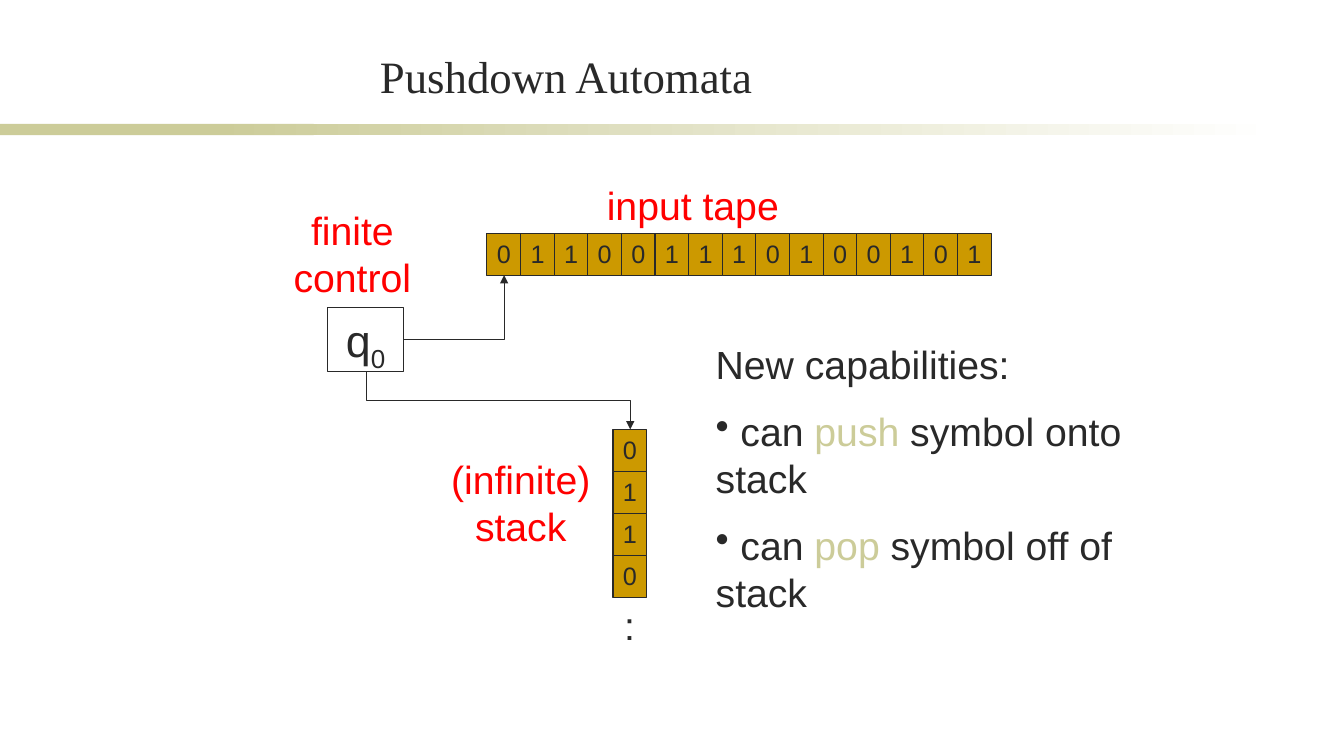
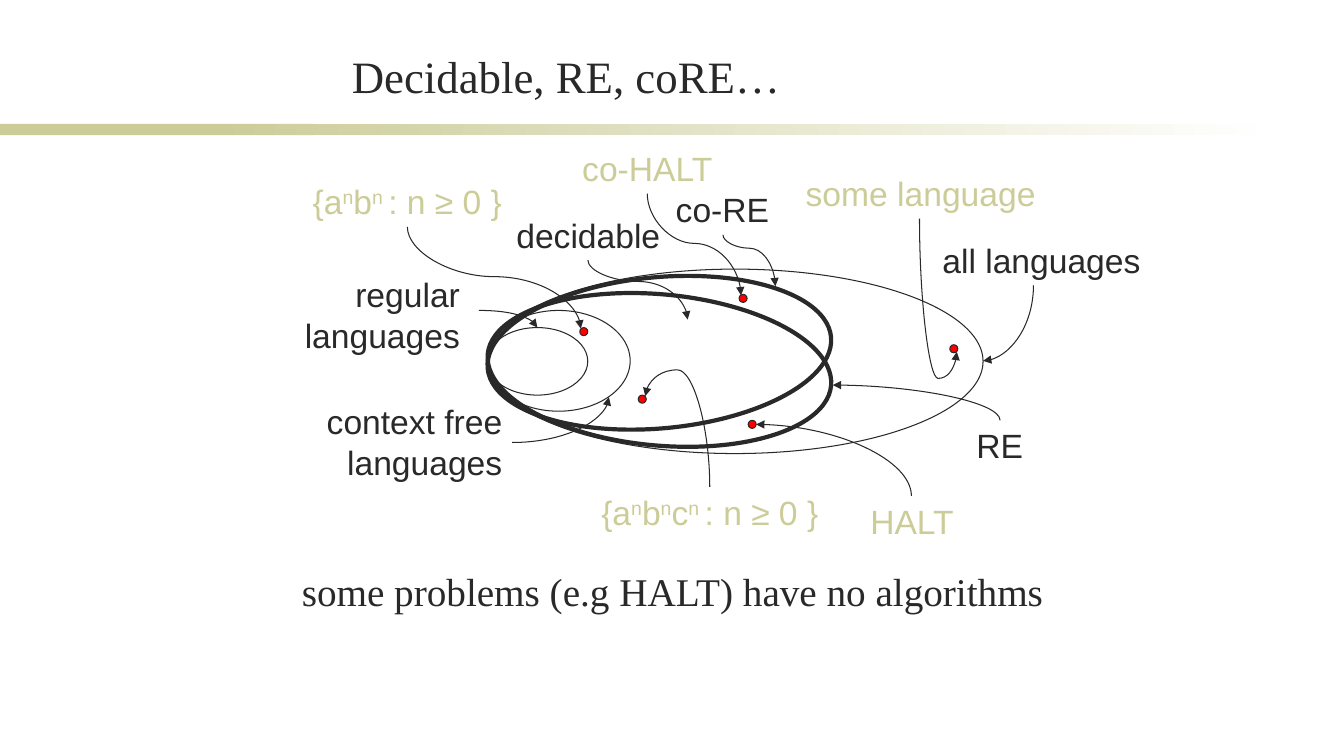
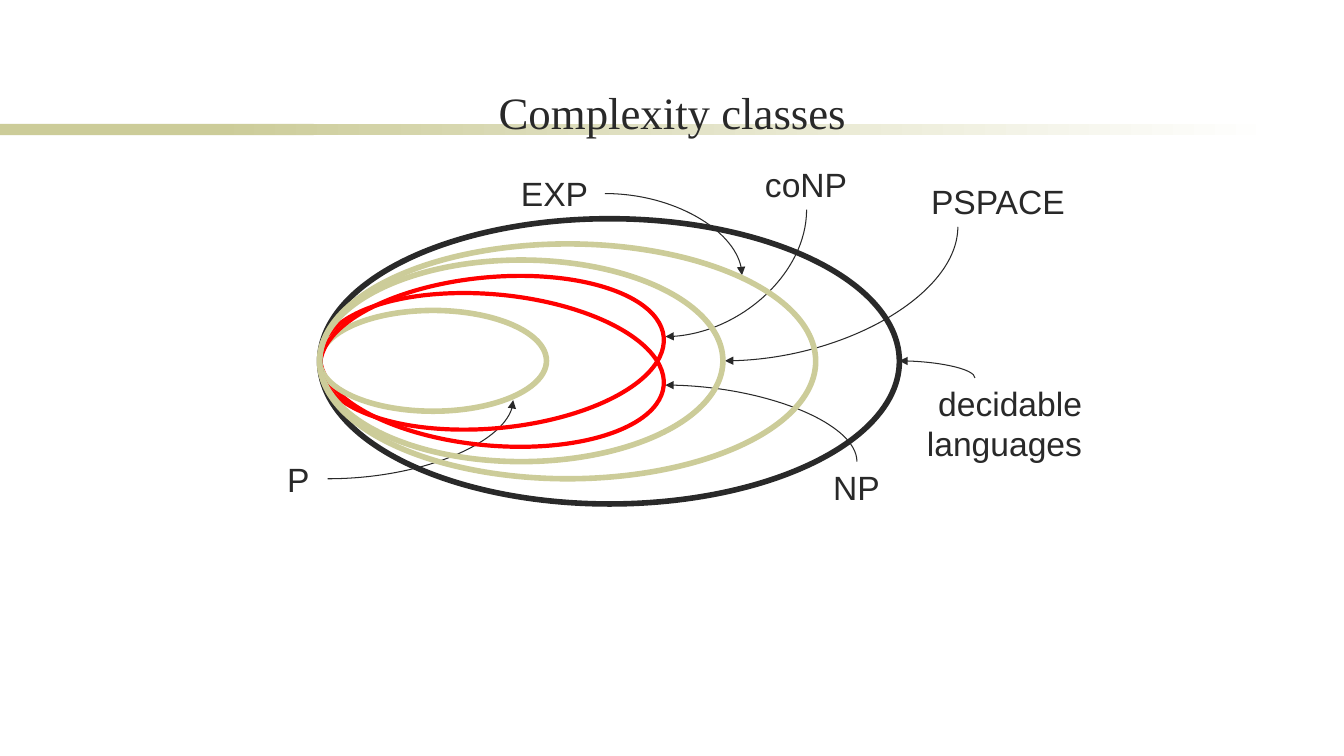
from lxml.etree import SubElement
from pptx import Presentation
from pptx.dml.color import RGBColor
from pptx.enum.shapes import MSO_CONNECTOR, MSO_SHAPE
from pptx.enum.text import MSO_ANCHOR, PP_ALIGN
from pptx.oxml.ns import qn
from pptx.util import Inches, Pt

COLORS = {"ink": "292929", "olive": "CCCC99", "gold": "CC9900",
          "red": "FF0000", "white": "FFFFFF"}
SANS, SERIF = "Arial", "Times New Roman"
ALIGN = {"l": PP_ALIGN.LEFT, "c": PP_ALIGN.CENTER, "r": PP_ALIGN.RIGHT}
SUP, SUB = {"base": 30}, {"base": -25}
OLIVE = {"color": "olive"}

# Boxes are (left, top, width, height) in inches.
# A paragraph is a string or a list of (text, run options).
# An arrow is (from, to, starting direction, bend); no bend means one corner.

# Slide 1: pushdown automaton
TITLE_BOX = (1.52, 0.44, 8.19, 0.63)
TAPE, TAPE_START = "011001110100101", (4.83, 2.32)
STACK, STACK_START = "0110", (6.08, 4.26)
CELL_WIDTH, CELL_HEIGHT = 1 / 3, 5 / 12
CONTROL_STATE = [("q", {}), ("0", SUB)]
CONTROL_BOX = (3.25, 3.05, 0.75, 0.64)
MACHINE_LABELS = [
    ("input tape", (5.92, 1.75, 2.33, 0.57), "l", "red"),
    ("finite control", (2.58, 2, 1.83, 1.03), "c", "red"),
    ("(infinite) stack", (4.25, 4.47, 1.83, 1.03), "c", "red"),
    (":", (6.08, 5.92, 0.33, 0.57), "c", "ink"),
]
MACHINE_ARROWS = [
    ((4, 3.37), (5, 2.73), "h", None),
    ((3.63, 3.69), (6.25, 4.26), "v", 0.5),
]
CAPABILITIES = [
    "New capabilities:",
    [(" can ", {}), ("push", OLIVE), (" symbol onto stack", {})],
    [(" can ", {}), ("pop", OLIVE), (" symbol off of stack", {})],
]
CAPABILITIES_BOX = (7, 3.33, 4.25, 2.9)

# Slides 2 and 3: nested language classes
DECIDABLE = {
    "title": "Decidable, RE, coRE…",
    "title_box": TITLE_BOX,
    "ellipses": [  # box, rotation, colour, line width
        ((4.83, 2.67, 4.92, 1.83), 0, "ink", 0.75),
        ((4.83, 3.08, 1.42, 1), 0, "ink", 0.75),
        ((4.83, 3.25, 1, 0.67), 0, "ink", 0.75),
        ((4.83, 2.92, 3.42, 1.5), 5.2, "ink", 3),
        ((4.83, 2.75, 3.42, 1.5), 354.8, "ink", 3),
    ],
    "dots": [(5.75, 3.25), (6.33, 3.92), (9.42, 3.42), (7.42, 4.17), (7.33, 2.92)],
    "labels": [
        ("regular languages", (2.83, 2.67, 1.83, 0.91), "r", "ink"),
        ("context free languages", (2.75, 3.93, 2.33, 0.91), "r", "ink"),
        ("all languages", (9.08, 2.33, 2.33, 0.5), "r", "ink"),
        ("decidable", (4.67, 2.08, 2.33, 0.5), "c", "ink"),
        ("RE", (8.75, 4.17, 2.33, 0.5), "c", "ink"),
        ("co-RE", (6, 1.83, 2.33, 0.5), "c", "ink"),
        ([("{a", {}), ("n", SUP), ("b", {}), ("n ", SUP), (": n ≥ 0 }", {})],
         (2.58, 1.75, 2.92, 0.5), "c", "olive"),
        ([("{a", {}), ("n", SUP), ("b", {}), ("n", SUP), ("c", {}), ("n ", SUP),
          (": n ≥ 0 }", {})], (5.58, 4.83, 2.92, 0.5), "c", "olive"),
        ("some language", (7.67, 1.67, 2.92, 0.5), "c", "olive"),
        ("HALT", (8.42, 4.92, 1.25, 0.5), "c", "olive"),
        ("co-HALT", (5.42, 1.42, 2, 0.5), "c", "olive"),
    ],
    "arrows": [
        ((4.75, 3.08), (5.33, 3.25), "h", None),
        ((5.08, 4.39), (6.04, 3.94), "h", None),
        ((10.25, 2.83), (9.75, 3.58), "v", None),
        ((5.83, 2.58), (6.82, 3.17), "v", 0.36),
        ((9.92, 4.17), (8.26, 3.82), "v", None),
        ((4.04, 2.25), (5.76, 3.26), "v", 0.49),
        ((7.04, 4.83), (6.4, 3.93), "v", 1.29),
        ((9.12, 2.17), (9.49, 3.49), "v", 1.2),
        ((9.04, 4.92), (7.5, 4.21), "v", None),
        ((7.17, 2.33), (7.69, 2.84), "v", 0.26),
        ((6.42, 1.92), (7.35, 2.93), "v", 0.49),
    ],
}
CONCLUSION = "some problems (e.g HALT) have no algorithms"
CONCLUSION_BOX = (2.17, 5.58, 9, 1.12)

COMPLEXITY = {
    "title": "Complexity classes",
    "title_box": (2.17, 0.17, 9, 1.25),
    "ellipses": [
        ((3.17, 2.92, 3.42, 1.5), 5.2, "red", 3),
        ((3.17, 3.08, 2.25, 1), 0, "olive", 4),
        ((3.17, 2.75, 3.42, 1.5), 354.8, "red", 3),
        ((3.17, 2.17, 5.75, 2.83), 0, "ink", 4),
        ((3.17, 2.42, 4.92, 2.33), 0, "olive", 4),
        ((3.17, 2.58, 4, 2), 0, "olive", 4),
    ],
    "dots": [],
    "labels": [
        ("PSPACE", (8.33, 1.75, 2.33, 0.5), "r", "ink"),
        ("NP", (7.33, 4.58, 2.33, 0.5), "c", "ink"),
        ("P", (2.67, 4.5, 0.58, 0.5), "c", "ink"),
        ("EXP", (5, 1.67, 1, 0.5), "c", "ink"),
        ("coNP", (6.83, 1.58, 2.33, 0.5), "c", "ink"),
        ("decidable languages", (8.5, 3.75, 2.33, 0.91), "r", "ink"),
    ],
    "arrows": [
        ((9.5, 2.25), (7.19, 3.58), "v", None),
        ((8.5, 4.58), (6.6, 3.82), "v", None),
        ((3.25, 4.75), (5.09, 3.97), "h", None),
        ((6, 1.92), (7.36, 2.73), "h", None),
        ((8, 2.08), (6.6, 3.34), "v", None),
        ((9.67, 3.75), (8.92, 3.58), "v", None),
    ],
}


def rgb(name):
    return RGBColor.from_string(COLORS[name])


def write(frame, paragraphs, size, align="l", color="ink", font=SANS, anchor=MSO_ANCHOR.TOP):
    frame.word_wrap = True
    frame.vertical_anchor = anchor
    for index, content in enumerate(paragraphs):
        paragraph = frame.paragraphs[0] if index == 0 else frame.add_paragraph()
        paragraph.alignment = ALIGN[align]
        if index:
            paragraph.space_before = Pt(size / 2)
        pieces = [(content, {})] if isinstance(content, str) else content
        for text, options in pieces:
            run = paragraph.add_run()
            run.text = text
            run.font.size = Pt(size)
            run.font.name = font
            run.font.color.rgb = rgb(options.get("color", color))
            if "base" in options:
                run.font._element.set("baseline", str(options["base"] * 1000))


def add_text(slide, box, paragraphs, size, **style):
    frame = slide.shapes.add_textbox(*map(Inches, box)).text_frame
    write(frame, paragraphs, size, **style)
    return frame


def add_figure(slide, preset, box, fill=None, line="ink", width=0.75):
    figure = slide.shapes.add_shape(preset, *map(Inches, box))
    figure.shadow.inherit = False
    if fill:
        figure.fill.solid()
        figure.fill.fore_color.rgb = rgb(fill)
    else:
        figure.fill.background()
    if line:
        figure.line.color.rgb = rgb(line)
        figure.line.width = Pt(width)
    else:
        figure.line.fill.background()
    return figure


def add_arrow(slide, kind, start, end, direction, bend):
    (x1, y1), (x2, y2) = start, end
    rotation = 0
    if direction == "v":
        # A vertical start is a horizontal one turned about the centre
        center_x, center_y = (x1 + x2) / 2, (y1 + y2) / 2
        rotation = 270 if x2 > x1 else 90
        reach = (y2 - y1) / 2 * (1 if rotation == 90 else -1)
        drop = abs(x2 - x1) / 2
        x1, x2 = center_x - reach, center_x + reach
        y1, y2 = center_y - drop, center_y + drop
    arrow = slide.shapes.add_connector(kind, *map(Inches, (x1, y1, x2, y2)))
    arrow.line.color.rgb = rgb("ink")
    arrow.line.width = Pt(0.75)
    properties = arrow._element.spPr
    if rotation:
        properties.find(qn("a:xfrm")).set("rot", str(rotation * 60000))
    geometry = properties.find(qn("a:prstGeom"))
    if bend is None:
        geometry.set("prst", geometry.get("prst").replace("3", "2"))
    else:
        SubElement(geometry.find(qn("a:avLst")), qn("a:gd"),
                   name="adj1", fmla=f"val {round(bend * 100000)}")
    SubElement(properties.find(qn("a:ln")), qn("a:tailEnd"), type="triangle")
    SubElement(properties, qn("a:effectLst"))


def add_cells(slide, symbols, start, step):
    for index, symbol in enumerate(symbols):
        box = (start[0] + index * step[0], start[1] + index * step[1],
               CELL_WIDTH, CELL_HEIGHT)
        cell = add_figure(slide, MSO_SHAPE.RECTANGLE, box, fill="gold")
        write(cell.text_frame, [symbol], 18, align="c")


def add_labels(slide, labels, size):
    for text, box, align, color in labels:
        add_text(slide, box, [text], size, align=align, color=color)


def add_band(slide, layout):
    """Draw the title band and hand it to the layout that all slides use."""
    solid = add_figure(slide, MSO_SHAPE.RECTANGLE, (0, 1.23, 3.11, 0.11), "olive", None)
    fade = add_figure(slide, MSO_SHAPE.RECTANGLE, (2.11, 1.23, 10.56, 0.11), "olive", None)
    fade.fill.gradient()
    fade.fill.gradient_angle = 0
    for stop, color in zip(fade.fill.gradient_stops, ("olive", "white")):
        stop.color.rgb = rgb(color)
    for part in (solid, fade):
        layout.shapes.element.append(part.element)


def new_slide(deck, layout, title, box):
    slide = deck.slides.add_slide(layout)
    add_text(slide, box, [title], 32, align="c", font=SERIF, anchor=MSO_ANCHOR.BOTTOM)
    return slide


def build_automaton(deck, layout):
    slide = new_slide(deck, layout, "Pushdown Automata", TITLE_BOX)
    add_cells(slide, TAPE, TAPE_START, (CELL_WIDTH, 0))
    add_cells(slide, STACK, STACK_START, (0, CELL_HEIGHT))
    control = add_figure(slide, MSO_SHAPE.RECTANGLE, CONTROL_BOX)
    write(control.text_frame, [CONTROL_STATE], 32, align="c")
    for arrow in MACHINE_ARROWS:
        add_arrow(slide, MSO_CONNECTOR.ELBOW, *arrow)
    add_labels(slide, MACHINE_LABELS, 28)
    capabilities = add_text(slide, CAPABILITIES_BOX, CAPABILITIES, 28)
    for paragraph in capabilities.paragraphs[1:]:
        SubElement(paragraph._p.get_or_add_pPr(), qn("a:buChar"), char="•")
    return slide


def build_classes(deck, layout, diagram):
    slide = new_slide(deck, layout, diagram["title"], diagram["title_box"])
    for arrow in diagram["arrows"]:
        add_arrow(slide, MSO_CONNECTOR.CURVE, *arrow)
    for box, rotation, color, width in diagram["ellipses"]:
        ellipse = add_figure(slide, MSO_SHAPE.OVAL, box, line=color, width=width)
        ellipse.rotation = rotation
    for left, top in diagram["dots"]:
        add_figure(slide, MSO_SHAPE.OVAL, (left, top, 0.08, 0.08), fill="red")
    add_labels(slide, diagram["labels"], 24)
    return slide


def main():
    deck = Presentation()
    deck.slide_width, deck.slide_height = Inches(13.33), Inches(7.5)
    layout = deck.slide_layouts[6]
    automaton = build_automaton(deck, layout)
    add_band(automaton, layout)
    decidable = build_classes(deck, layout, DECIDABLE)
    add_text(decidable, CONCLUSION_BOX, [CONCLUSION], 28, align="c", font=SERIF)
    build_classes(deck, layout, COMPLEXITY)
    deck.save("out.pptx")


if __name__ == "__main__":
    main()
